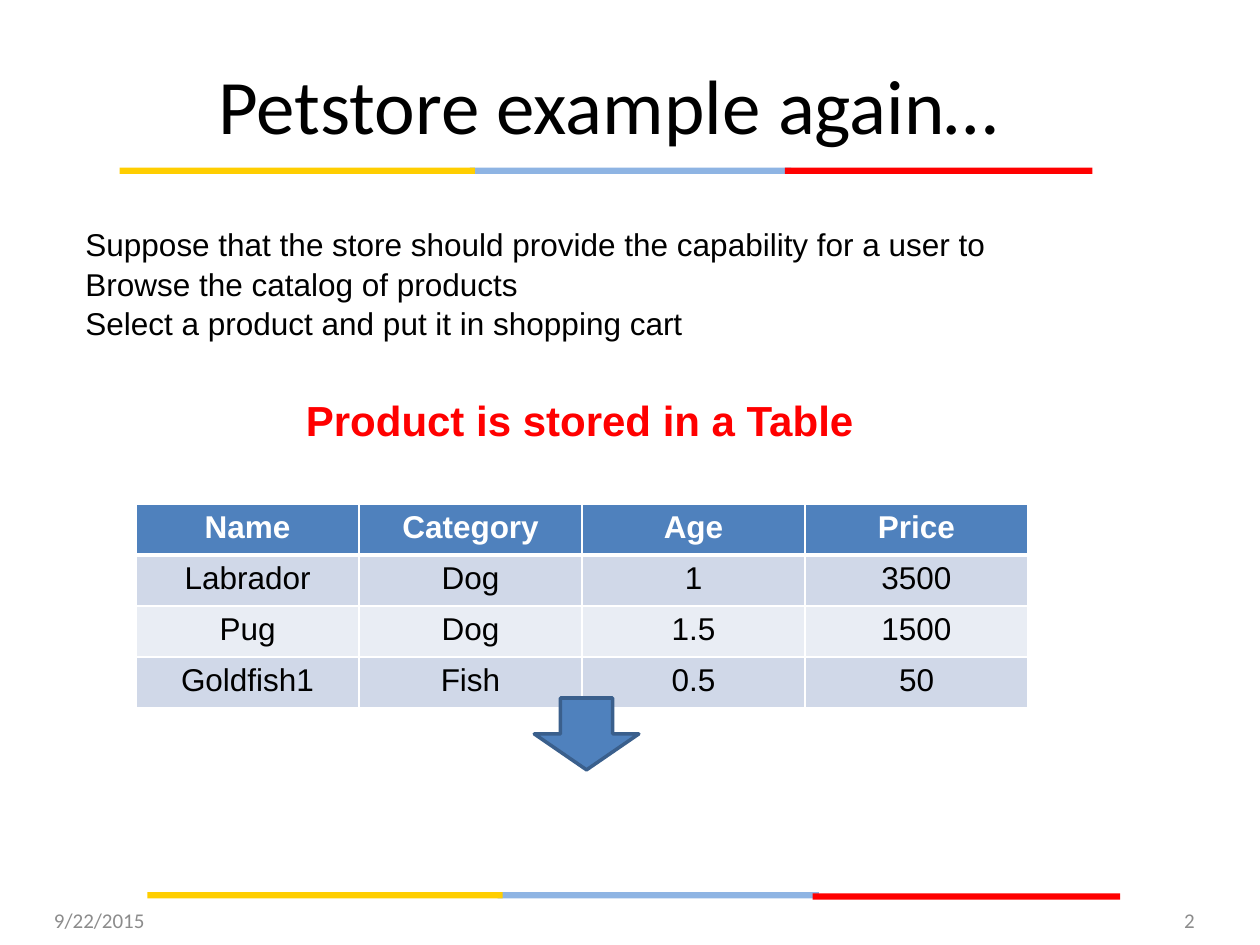
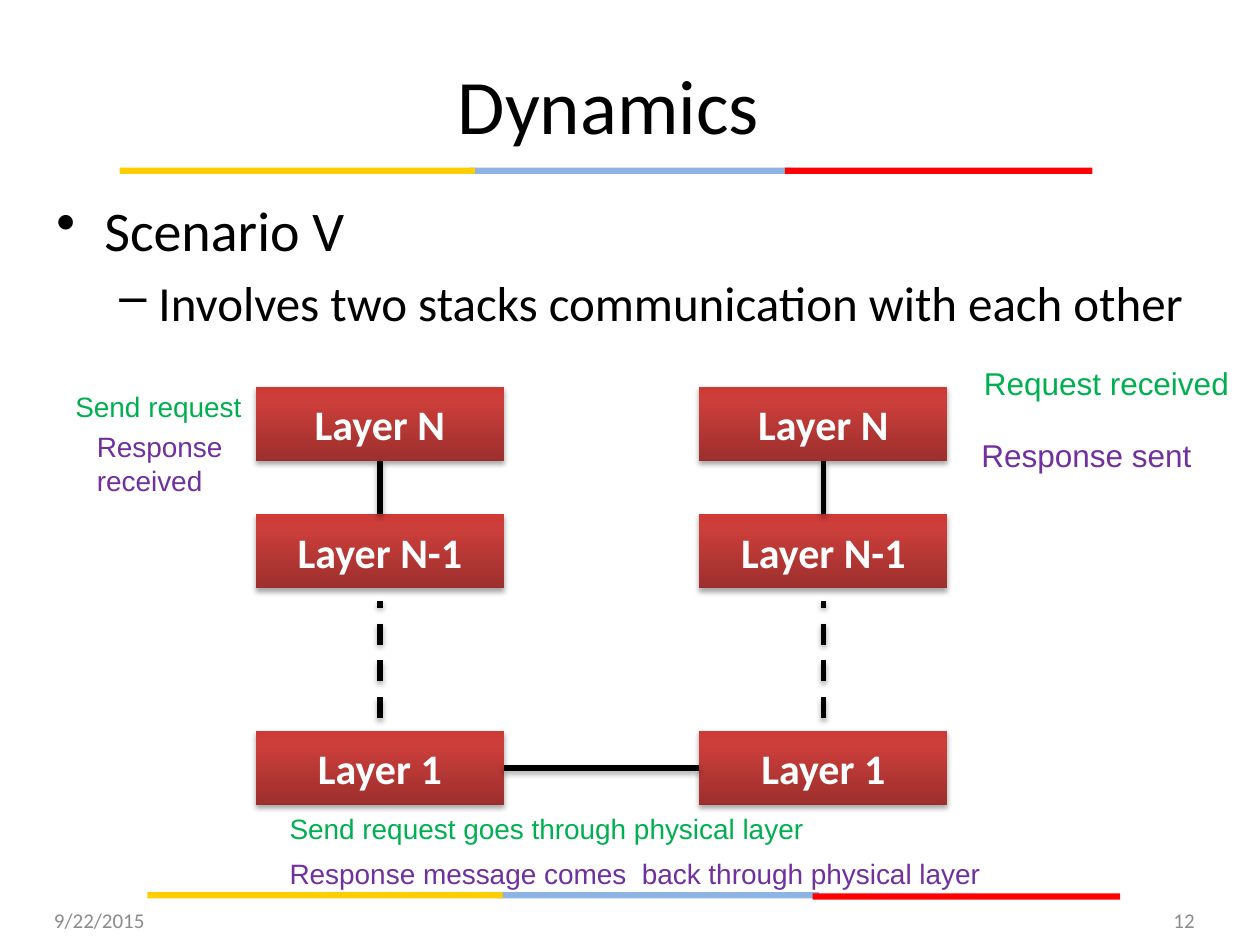
import copy
from dataclasses import dataclass, replace

import lxml.etree
import pptx
import pptx.dml.color
import pptx.enum.dml
import pptx.enum.shapes
import pptx.enum.text
import pptx.oxml.ns
import pptx.util

qn = pptx.oxml.ns.qn
SHAPE = pptx.enum.shapes.MSO_SHAPE
ALIGN = pptx.enum.text.PP_ALIGN
ANCHOR = pptx.enum.text.MSO_ANCHOR

SLIDE_WIDTH = pptx.util.Inches(10)
SLIDE_HEIGHT = pptx.util.Inches(7.5)
COLUMNS, ROWS = 100, 75


@dataclass(frozen=True)
class Style:
    font: str
    size: int
    color: str
    bold: bool = False


@dataclass(frozen=True)
class Theme:
    white: str = "FFFFFF"
    black: str = "000000"
    yellow: str = "FFCE00"
    blue: str = "8EB4E3"
    red: str = "FF0000"
    accent: str = "4F81BD"
    accent_edge: str = "3A5F8C"
    stripes: tuple = ("D0D8E8", "E9EDF4")
    layer_gradient: tuple = ((0, "9C2F2D"), (0.8, "CB3E3A"), (1, "CE3B37"))
    title: Style = Style("Calibri", 44, "000000")
    bullet: Style = Style("Calibri", 32, "000000")
    dash: Style = Style("Calibri", 28, "000000")
    layer: Style = Style("Calibri", 24, "FFFFFF", True)
    footer: Style = Style("Calibri", 12, "8C8C8C")
    body: Style = Style("Arial", 18, "000000")
    heading: Style = Style("Arial", 24, "FF0000", True)
    table_head: Style = Style("Arial", 18, "FFFFFF", True)
    request: Style = Style("Arial", 16, "00B050")
    response: Style = Style("Arial", 16, "7030A0")


THEME = Theme()


@dataclass(frozen=True)
class Box:
    x: float
    y: float
    w: float
    h: float

    def area(self, x, y, w, h):
        return Box(self.x + x, self.y + y, w, h)

    def emu(self):
        return across(self.x), down(self.y), across(self.w), down(self.h)


def across(columns):
    return round(SLIDE_WIDTH * columns / COLUMNS)


def down(rows):
    return round(SLIDE_HEIGHT * rows / ROWS)


PAGE = Box(0, 0, COLUMNS, ROWS)


def rgb(color):
    return pptx.dml.color.RGBColor.from_string(color)


def style_paragraph(paragraph, style, align=ALIGN.LEFT):
    paragraph.alignment = align
    paragraph.font.name = style.font
    paragraph.font.size = pptx.util.Pt(style.size)
    paragraph.font.bold = style.bold
    paragraph.font.color.rgb = rgb(style.color)


def add_text(slide, box, lines, style, align=ALIGN.LEFT, anchor=ANCHOR.TOP, wrap=True):
    frame = slide.shapes.add_textbox(*box.emu()).text_frame
    frame.word_wrap = wrap
    frame.vertical_anchor = anchor
    if not wrap:
        frame.auto_size = pptx.enum.text.MSO_AUTO_SIZE.SHAPE_TO_FIT_TEXT
    frame.text = "\n".join(lines)
    for paragraph in frame.paragraphs:
        style_paragraph(paragraph, style, align)
    return frame


def add_solid(slide, box, preset, color):
    solid = slide.shapes.add_shape(preset, *box.emu())
    solid.shadow.inherit = False
    solid.fill.solid()
    solid.fill.fore_color.rgb = rgb(color)
    solid.line.fill.background()
    return solid


def set_shadow(element):
    effects = lxml.etree.SubElement(element.spPr, qn("a:effectLst"))
    shadow = lxml.etree.SubElement(
        effects, qn("a:outerShdw"), blurRad="40000", dist="23000",
        dir="5400000", rotWithShape="0")
    color = lxml.etree.SubElement(shadow, qn("a:srgbClr"), val=THEME.black)
    lxml.etree.SubElement(color, qn("a:alpha"), val="35000")


def add_band(slide, box, red_drop=0):
    segments = ((27.8, 0, 25.5, THEME.blue),
                (52.8, red_drop, 24.4, THEME.red),
                (0, 0, 28.2, THEME.yellow))
    for x, y, width, color in segments:
        add_solid(slide, box.area(x, y, width, box.h), SHAPE.RECTANGLE, color)


def add_frame(slide, box, title, number):
    add_band(slide, box.area(9.5, 13.3, 77.2, 0.5))
    add_band(slide, box.area(11.7, 70.8, 77.2, 0.5), red_drop=0.1)
    add_text(slide, box.area(3.3, 3.1, 90, 10.3), [title], THEME.title,
             ALIGN.CENTER, ANCHOR.MIDDLE)
    add_text(slide, box.area(3.3, 71, 23.3, 4), ["9/22/2015"], THEME.footer,
             anchor=ANCHOR.MIDDLE)
    add_text(slide, box.area(72.5, 71, 23.3, 4), [str(number)], THEME.footer,
             ALIGN.RIGHT, ANCHOR.MIDDLE)


def add_cell_borders(cell, top, bottom):
    properties = cell._tc.get_or_add_tcPr()
    for position, (side, points) in enumerate(
            (("lnL", 1), ("lnR", 1), ("lnT", top), ("lnB", bottom))):
        border = lxml.etree.Element(qn(f"a:{side}"), w=str(pptx.util.Pt(points)))
        fill = lxml.etree.SubElement(border, qn("a:solidFill"))
        lxml.etree.SubElement(fill, qn("a:srgbClr"), val=THEME.white)
        properties.insert(position, border)


def add_product_table(slide, box, products):
    table = slide.shapes.add_table(len(products), len(products[0]), *box.emu()).table
    table.horz_banding = False
    for row, product in enumerate(products):
        table.rows[row].height = down(box.h / len(products))
        for column, value in enumerate(product):
            cell = table.cell(row, column)
            cell.text = value
            style_paragraph(cell.text_frame.paragraphs[0],
                            THEME.body if row else THEME.table_head, ALIGN.CENTER)
            cell.fill.solid()
            cell.fill.fore_color.rgb = rgb(
                THEME.stripes[(row - 1) % 2] if row else THEME.accent)
            add_cell_borders(cell, top=3 if row == 1 else 1, bottom=1 if row else 3)


def build_petstore(slide, box):
    add_frame(slide, box, "Petstore example again…", 2)
    add_product_table(slide, box.area(10.8, 40, 70.8, 16.2), (
        ("Name", "Category", "Age", "Price"),
        ("Labrador", "Dog", "1", "3500"),
        ("Pug", "Dog", "1.5", "1500"),
        ("Goldfish1", "Fish", "0.5", "50")))
    capabilities = add_text(slide, box.area(5.8, 17.2, 82.5, 10.1), (
        "Suppose that the store should provide the capability for a user to",
        "Browse the catalog of products",
        "Select a product and put it in shopping cart"), THEME.body, ALIGN.JUSTIFY)
    for paragraph in capabilities.paragraphs:
        paragraph.line_spacing = 1.05
    add_text(slide, box.area(23.3, 30.8, 51.7, 5), ["Product is stored in a Table"],
             THEME.heading)
    arrow = add_solid(slide, box.area(43.7, 54.1, 5.7, 8.3), SHAPE.RIGHT_ARROW, THEME.accent)
    arrow.rotation = 90
    arrow.line.color.rgb = rgb(THEME.accent_edge)
    arrow.line.width = pptx.util.Pt(2)


def add_outline(slide, box, items):
    frame = add_text(slide, box, [text for text, *_ in items], THEME.bullet)
    for paragraph, (_, mark, style, level, margin, hang) in zip(frame.paragraphs, items):
        style_paragraph(paragraph, style)
        paragraph.level = level
        paragraph.space_before = pptx.util.Pt(style.size * 0.2)
        properties = paragraph._p.get_or_add_pPr()
        properties.set("marL", str(across(margin)))
        properties.set("indent", str(-across(hang)))
        bullet = lxml.etree.Element(qn("a:buChar"), char=mark)
        properties.find(qn("a:defRPr")).addprevious(bullet)


def add_layer(slide, box, name):
    layer = slide.shapes.add_shape(SHAPE.RECTANGLE, *box.emu())
    layer.line.fill.background()
    layer.fill.gradient()
    layer.fill.gradient_angle = 90
    stop_list = layer._element.spPr.find(".//" + qn("a:gsLst"))
    stop_list.insert(1, copy.deepcopy(stop_list[0]))
    for stop, (position, color) in zip(layer.fill.gradient_stops, THEME.layer_gradient):
        stop.position = position
        stop.color.rgb = rgb(color)
    set_shadow(layer._element)
    layer.text_frame.text = name
    layer.text_frame.vertical_anchor = ANCHOR.MIDDLE
    style_paragraph(layer.text_frame.paragraphs[0], THEME.layer, ALIGN.CENTER)
    return layer


def add_link(slide, start=(0, 0), end=(0, 0)):
    link = slide.shapes.add_connector(
        pptx.enum.shapes.MSO_CONNECTOR.STRAIGHT,
        across(start[0]), down(start[1]), across(end[0]), down(end[1]))
    link.line.color.rgb = rgb(THEME.black)
    link.line.width = pptx.util.Pt(3)
    set_shadow(link._element)
    return link


def join(slide, first, first_side, second, second_side):
    link = add_link(slide)
    link.begin_connect(first, first_side)
    link.end_connect(second, second_side)


def add_stack(slide, box):
    height = 5.9
    top, below, bottom = (
        add_layer(slide, box.area(0, y, box.w, height), name)
        for name, y in (("Layer N", 0), ("Layer N-1", 10.1),
                        ("Layer 1", box.h - height)))
    join(slide, below, 0, top, 2)
    middle = box.x + box.w / 2
    add_link(slide, (middle, box.y + 26.3), (middle, box.y + 17)).line.dash_style = (
        pptx.enum.dml.MSO_LINE.DASH)
    return bottom


def build_dynamics(slide, box):
    add_frame(slide, box, "Dynamics", 12)
    add_outline(slide, box.area(3.5, 15, 91.7, 55), (
        ("Scenario V", "•", THEME.bullet, 0, 3.8, 3.8),
        ("Involves two stacks communication with each other", "–",
         THEME.dash, 1, 8.1, 3.1)))
    sender, receiver = (
        add_stack(slide, box.area(x, 30.7, 19.7, 33.2)) for x in (20.3, 55.5))
    join(slide, sender, 3, receiver, 1)
    captions = (
        ("Send request", THEME.request, (5, 30.4, 15.4, 3.7), False),
        ("Response received", THEME.response, (6.7, 33.6, 13.6, 6.4), True),
        ("Request received", replace(THEME.request, size=18), (77.1, 28.4, 21.7, 4), False),
        ("Response sent", replace(THEME.response, size=18), (76.9, 34.1, 18.8, 4), False),
        ("Send request goes through physical layer", THEME.request,
         (22, 63.9, 51.3, 3.7), True),
        ("Response message comes  back through physical layer", THEME.response,
         (22, 67.5, 64.3, 3.7), True))
    for text, style, place, wrap in captions:
        add_text(slide, box.area(*place), [text], style, wrap=wrap)


def main():
    deck = pptx.Presentation()
    deck.slide_width, deck.slide_height = SLIDE_WIDTH, SLIDE_HEIGHT
    for build in (build_petstore, build_dynamics):
        build(deck.slides.add_slide(deck.slide_layouts[6]), PAGE)
    deck.save("out.pptx")


if __name__ == "__main__":
    main()
